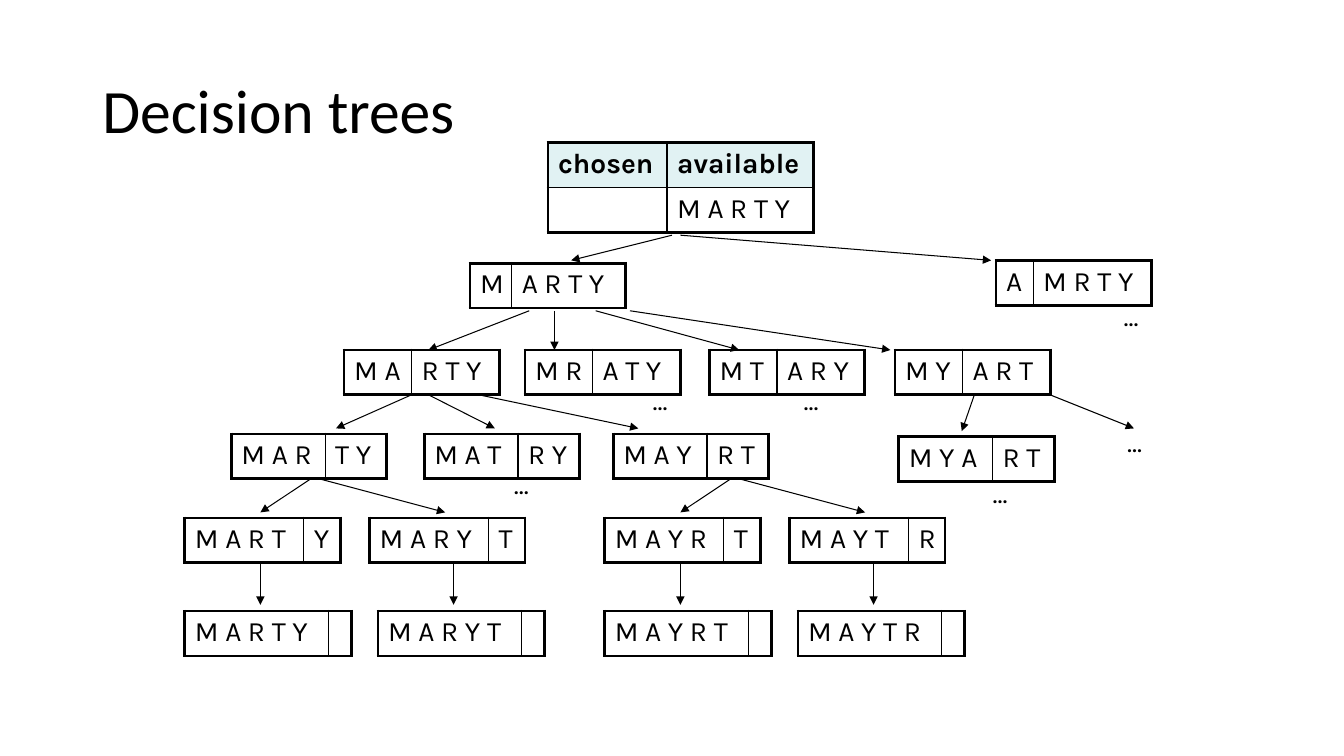
from lxml import etree
from pptx import Presentation
from pptx.dml.color import RGBColor
from pptx.enum import shapes, text
from pptx.oxml import ns
from pptx.util import Pt

BLACK = RGBColor(0, 0, 0)
TINT = RGBColor(0xE1, 0xF2, 0xF3)
FONT = "Karla"

TITLE = "Decision trees"
HEADS = ["chosen", "available"]
ROOT = ["", "MARTY"]

# chosen letters, letters still available, left, top
NODES = [
    ("M", "ARTY", 335.75, 188), ("A", "MRTY", 711.5, 186),
    ("MA", "RTY", 245.75, 250), ("MR", "ATY", 375, 250),
    ("MT", "ARY", 506.75, 250), ("MY", "ART", 639.25, 250),
    ("MAR", "TY", 165.25, 310), ("MAT", "RY", 303, 310),
    ("MAY", "RT", 438, 310), ("MYA", "RT", 642, 312),
    ("MART", "Y", 132, 370), ("MARY", "T", 264, 370),
    ("MAYR", "T", 432, 370), ("MAYT", "R", 564, 370),
    ("MARTY", "", 132, 436.5), ("MARYT", "", 270, 436.5),
    ("MAYRT", "", 432, 436.5), ("MAYTR", "", 570, 436.5),
]

# start y, end y, (start x, end x) of each arrow between two levels
ARROWS = [
    (168, 186, [(480, 408), (486, 708)]),
    (222, 250, [(378, 306), (396, 396), (425.5, 528), (450, 636)]),
    (282, 306, [(294, 240), (306, 353.5), (342, 456), (750, 810)]),
    (282, 308, [(696, 687)]),
    (342, 366, [(222, 186), (228, 318), (522, 486), (528, 618)]),
    (402, 432, [(x, x) for x in (186, 324, 486, 624)]),
]

DOTS = [(798, 300), (567, 270), (459, 270), (795.5, 210), (360, 330), (702, 336)]

ROW = 32
WIDE = {1: 29.75, 2: 48.25, 3: 67, 4: 85, 5: 102.5}
THICK, THIN = 2.25, 1

deck = Presentation()
deck.slide_width, deck.slide_height = Pt(960), Pt(540)
slide = deck.slides.add_slide(deck.slide_layouts[6])


def write(frame, words, size=20, font=FONT, bold=False, space=None):
    par = frame.paragraphs[0]
    par.line_spacing = space
    run = par.add_run()
    run.text = words
    run.font.size, run.font.name, run.font.bold = Pt(size), font, bold
    run.font.color.rgb = BLACK


def label(words, left, top, width, height, anchor=text.MSO_ANCHOR.TOP, **form):
    box = slide.shapes.add_textbox(Pt(left), Pt(top), Pt(width), Pt(height))
    box.text_frame.word_wrap = True
    box.text_frame.vertical_anchor = anchor
    write(box.text_frame, words, **form)


def edge(cell, sides):
    """Draw the cell's borders; sides maps L, R, T, B in that order to widths."""
    props = cell._tc.get_or_add_tcPr()
    for spot, (side, width) in enumerate(sides.items()):
        line = etree.Element(ns.qn("a:ln" + side), w=str(Pt(width)))
        fill = etree.SubElement(line, ns.qn("a:solidFill"))
        etree.SubElement(fill, ns.qn("a:srgbClr"), val=str(BLACK))
        props.insert(spot, line)


def grid(rows, left, top, cols, head=False):
    """Draw a framed table, with a tinted bold first row if head is set."""
    frame = slide.shapes.add_table(len(rows), len(cols), Pt(left), Pt(top),
                                   Pt(sum(cols)), Pt(ROW * len(rows)))
    table = frame.table
    table.first_row = table.horz_banding = False
    for col, width in zip(table.columns, cols):
        col.width = Pt(width)
    for r, row in enumerate(rows):
        for c, words in enumerate(row):
            cell = table.cell(r, c)
            cell.margin_right = Pt(2)  # keeps the letters on one line
            top_row = head and r == 0
            if top_row:
                cell.fill.solid()
                cell.fill.fore_color.rgb = TINT
            else:
                cell.fill.background()
            if words:
                write(cell.text_frame, words, bold=top_row)
            outer = {"L": c == 0, "R": c == len(cols) - 1,
                     "T": r == 0, "B": r == len(rows) - 1}
            edge(cell, {s: THICK if out else THIN for s, out in outer.items()})


def arrow(x1, y1, x2, y2):
    line = slide.shapes.add_connector(shapes.MSO_CONNECTOR.STRAIGHT,
                                      Pt(x1), Pt(y1), Pt(x2), Pt(y2))
    line.line.color.rgb = BLACK
    line.line.width = Pt(0.75)
    etree.SubElement(line.line._get_or_add_ln(), ns.qn("a:tailEnd"), type="triangle")
    etree.SubElement(line._element.spPr, ns.qn("a:effectLst"))


label(TITLE, 66, 28.8, 828, 104.4, anchor=text.MSO_ANCHOR.MIDDLE,
      size=44, font="Calibri", space=0.9)
grid([HEADS, [" ".join(part) for part in ROOT]], 391.5, 102, [85, 104.5], head=True)

for chosen, rest, left, top in NODES:
    first = 26.5 if chosen == "A" else WIDE[len(chosen)]
    total = 111 if rest else 119
    grid([[" ".join(chosen), " ".join(rest)]], left, top, [first, total - first])

for start, end, pairs in ARROWS:
    for x1, x2 in pairs:
        arrow(x1, start, x2, end)

for left, top in DOTS:
    label("...", left, top, 32.5, 31)

deck.save("out.pptx")
